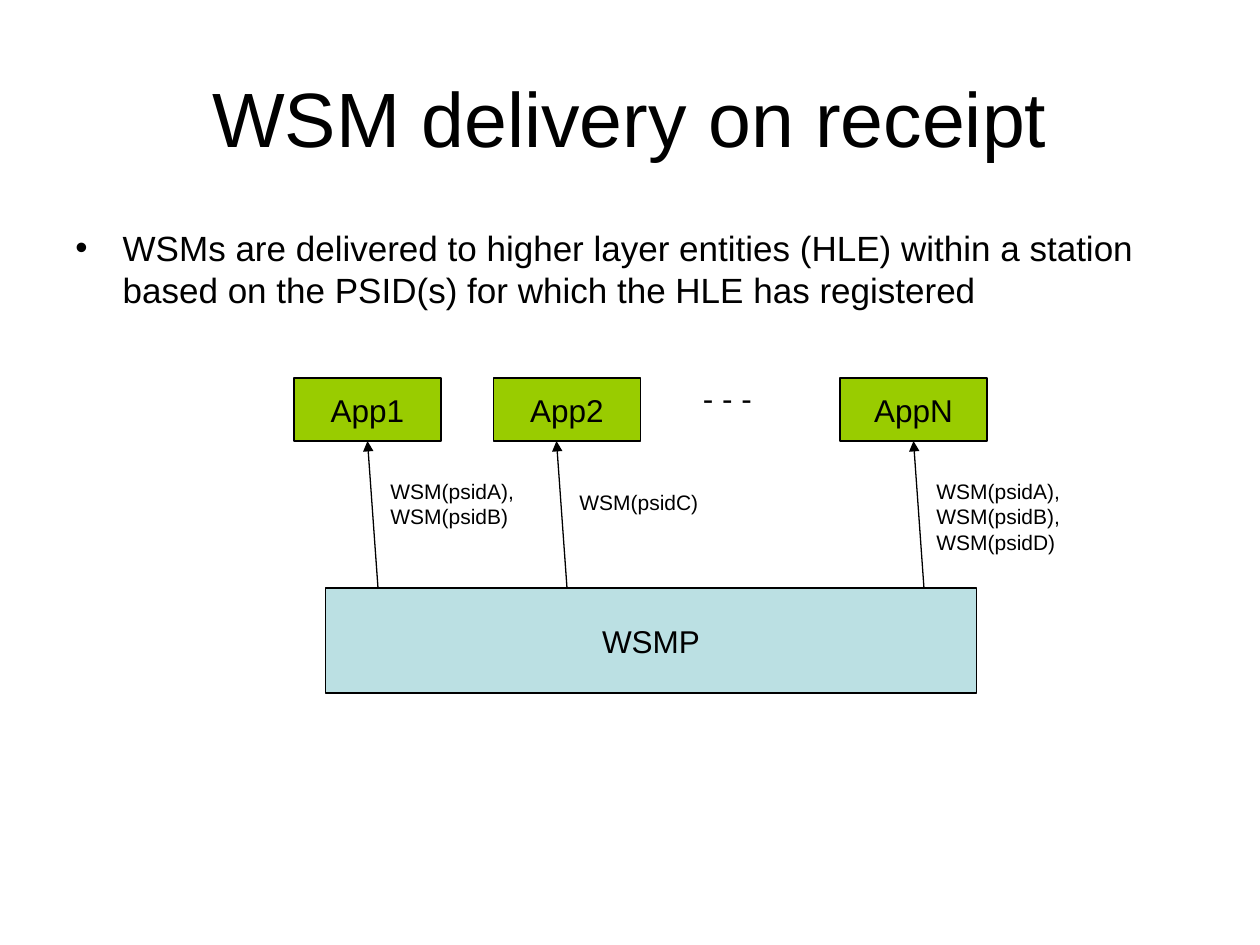
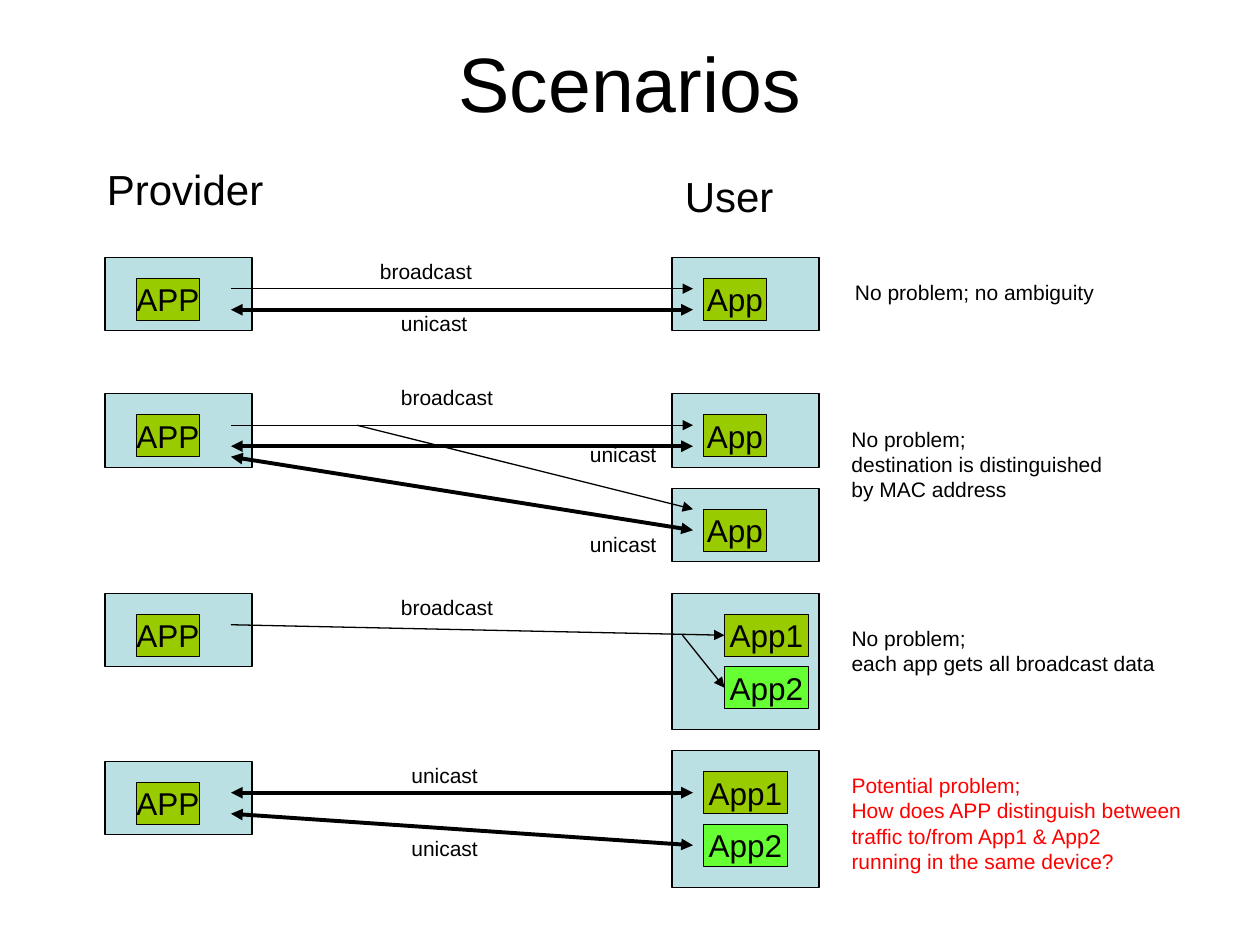
from dataclasses import dataclass
from typing import Optional

from lxml.etree import SubElement
from pptx import Presentation
from pptx.dml.color import RGBColor
from pptx.enum.shapes import MSO_CONNECTOR as Connector, MSO_SHAPE as Preset
from pptx.enum.text import MSO_ANCHOR as Anchor, MSO_AUTO_SIZE as AutoSize, PP_ALIGN as Align
from pptx.oxml.ns import qn
from pptx.shapes.autoshape import Shape
from pptx.slide import Slide
from pptx.util import Pt

FONT = "Arial"
BLACK = "000000"
RED = "FF0000"
STATION_BLUE = "BBE0E3"
APP_GREEN = "99CC00"
SECOND_APP_GREEN = "66FF33"
THIN, THICK = 0.75, 2.25
LEFT, BOTTOM = 1, 2

PROVIDER_LEFT, USER_LEFT = 60, 384
STATION_WIDTH, STATION_HEIGHT = 84, 42
APP_HEIGHT, APP_INSET, APP_STEP = 24, 12, 30
LINK_START, LINK_END = 132, 396


@dataclass
class Label:
    text: str
    left: float
    top: float
    width: float
    height: float = 21.6
    size: float = 12
    color: str = BLACK


@dataclass
class Link:
    start_y: float
    end_y: float
    start_x: float = LINK_START
    end_x: float = LINK_END
    unicast: bool = False
    target_app: Optional[str] = None


@dataclass
class Station:
    top: float
    apps: tuple[str, ...] = ("App",)
    height: float = STATION_HEIGHT
    app_left: float = 402
    app_width: float = 36


@dataclass
class Scenario:
    top: float
    users: list[Station]
    links: list[Link]
    labels: list[Label]


@dataclass
class Delivery:
    app: str
    app_left: float
    link_top_x: float
    messages: str
    label_top: float
    label_height: float


def broadcast(left: float, top: float) -> Label:
    return Label("broadcast", left, top, 68)


def unicast(left: float, top: float) -> Label:
    return Label("unicast", left, top, 54)


DELIVERIES = [
    Delivery("App1", 168, 210, "WSM(psidA),\nWSM(psidB)", 270, 36),
    Delivery("App2", 282, 318, "WSM(psidC)", 276, 21.6),
    Delivery("AppN", 480, 522, "WSM(psidA),\nWSM(psidB),\nWSM(psidD)", 270, 50.4),
]

SCENARIOS = [
    Scenario(
        147,
        [Station(0)],
        [Link(18, 18), Link(30, 30, unicast=True)],
        [broadcast(210, -3), unicast(222, 27),
         Label("No problem; no ambiguity", 481.5, 9, 153)],
    ),
    Scenario(
        225,
        [Station(0), Station(54)],
        [Link(18, 18), Link(30, 30, unicast=True), Link(36, 78, unicast=True),
         Link(18, 66, start_x=204)],
        [broadcast(222, -9), unicast(330, 23.5), unicast(330, 75),
         Label("No problem;\ndestination is distinguished\nby MAC address",
               479.5, 15, 163, 50.4)],
    ),
    Scenario(
        339,
        [Station(0, ("App1", "App2"), 78, 414, 48)],
        [Link(18, 24, end_x=414, target_app="App1"),
         Link(24, 54, start_x=390, end_x=414, target_app="App2")],
        [broadcast(222, -3),
         Label("No problem;\neach app gets all broadcast data", 479.5, 15, 190, 36)],
    ),
    Scenario(
        435,
        [Station(-6, ("App1", "App2"), 78, 402, 48)],
        [Link(18, 18, unicast=True), Link(30, 48, unicast=True)],
        [unicast(228, -3), unicast(228, 39),
         Label("Potential problem;\nHow does APP distinguish between\n"
               "traffic to/from App1 & App2\nrunning in the same device?",
               479.5, 3, 206, 64.8, color=RED)],
    ),
]


def rgb(value: str) -> RGBColor:
    return RGBColor.from_string(value)


def style_text(shape: Shape, size: float, color: str = BLACK, align: Align = Align.LEFT) -> None:
    for paragraph in shape.text_frame.paragraphs:
        paragraph.alignment = align
        paragraph.font.name = FONT
        paragraph.font.size = Pt(size)
        paragraph.font.color.rgb = rgb(color)


def add_title(slide: Slide, text: str, height: float) -> None:
    title = slide.shapes.add_textbox(Pt(36), Pt(21.6), Pt(648), Pt(height))
    title.text_frame.word_wrap = True
    title.text_frame.vertical_anchor = Anchor.MIDDLE
    title.text_frame.text = text
    style_text(title, 44, align=Align.CENTER)


def add_bullet(slide: Slide, text: str) -> None:
    body = slide.shapes.add_textbox(Pt(36), Pt(126), Pt(648), Pt(356.4))
    body.text_frame.word_wrap = True
    body.text_frame.text = text
    properties = body.text_frame.paragraphs[0]._p.get_or_add_pPr()
    properties.set("marL", str(Pt(27)))
    properties.set("indent", str(-Pt(27)))
    SubElement(properties, qn("a:buFont"), typeface=FONT)
    SubElement(properties, qn("a:buChar"), char="•")
    style_text(body, 20)


def add_label(slide: Slide, label: Label, row_top: float = 0) -> None:
    box = slide.shapes.add_textbox(
        Pt(label.left), Pt(row_top + label.top), Pt(label.width), Pt(label.height))
    box.text_frame.word_wrap = False
    box.text_frame.auto_size = AutoSize.SHAPE_TO_FIT_TEXT
    box.text_frame.text = label.text
    style_text(box, label.size, label.color)


def add_block(slide: Slide, left: float, top: float, width: float, height: float,
              fill: str, text: str = "") -> Shape:
    block = slide.shapes.add_shape(Preset.RECTANGLE, Pt(left), Pt(top), Pt(width), Pt(height))
    block.shadow.inherit = False
    block.fill.solid()
    block.fill.fore_color.rgb = rgb(fill)
    block.line.color.rgb = rgb(BLACK)
    block.line.width = Pt(THIN)
    if text:
        block.text_frame.word_wrap = False
        block.text_frame.vertical_anchor = Anchor.MIDDLE
        block.text_frame.text = text
        style_text(block, 18, align=Align.CENTER)
    return block


def add_link(slide: Slide, link: Link, row_top: float = 0,
             target: Optional[Shape] = None, side: int = LEFT) -> None:
    arrow = slide.shapes.add_connector(
        Connector.STRAIGHT, Pt(link.start_x), Pt(row_top + link.start_y),
        Pt(link.end_x), Pt(row_top + link.end_y))
    if target is not None:
        arrow.end_connect(target, side)
    arrow.line.color.rgb = rgb(BLACK)
    arrow.line.width = Pt(THICK if link.unicast else THIN)
    outline = arrow.line._get_or_add_ln()
    if link.unicast:
        SubElement(outline, qn("a:headEnd"), type="triangle")
    SubElement(outline, qn("a:tailEnd"), type="triangle")
    SubElement(arrow._element.spPr, qn("a:effectLst"))


def add_user(slide: Slide, user: Station, row_top: float) -> dict[str, Shape]:
    top = row_top + user.top
    add_block(slide, USER_LEFT, top, STATION_WIDTH, user.height, STATION_BLUE)
    return {
        app: add_block(slide, user.app_left, top + APP_INSET + index * APP_STEP,
                       user.app_width, APP_HEIGHT, fill, app)
        for index, (app, fill) in enumerate(zip(user.apps, (APP_GREEN, SECOND_APP_GREEN)))
    }


def add_scenario(slide: Slide, scenario: Scenario) -> None:
    top = scenario.top
    add_block(slide, PROVIDER_LEFT, top, STATION_WIDTH, STATION_HEIGHT, STATION_BLUE)
    add_block(slide, 78, top + APP_INSET, 36, APP_HEIGHT, APP_GREEN, "APP")
    apps: dict[str, Shape] = {}
    for user in scenario.users:
        apps.update(add_user(slide, user, top))
    for link in scenario.links:
        add_link(slide, link, top, apps.get(link.target_app))
    for label in scenario.labels:
        add_label(slide, label, top)


def build_delivery(slide: Slide) -> None:
    add_title(slide, "WSM delivery on receipt", 90)
    add_bullet(slide, "WSMs are delivered to higher layer entities (HLE) within a station "
                      "based on the PSID(s) for which the HLE has registered")
    add_block(slide, 186, 336, 372, 60, STATION_BLUE, "WSMP")
    add_label(slide, Label("- - -", 394.6, 213, 49, 28.8, 18))
    for delivery in DELIVERIES:
        app = add_block(slide, delivery.app_left, 216, 84, 36, APP_GREEN, delivery.app)
        start_x = delivery.link_top_x + 6
        at_middle = delivery.link_top_x == delivery.app_left + 42
        add_link(slide, Link(336, 252, start_x, delivery.link_top_x),
                 target=app if at_middle else None, side=BOTTOM)
        add_label(slide, Label(delivery.messages, start_x, delivery.label_top,
                               87, delivery.label_height))


def build_scenarios(slide: Slide) -> None:
    add_title(slide, "Scenarios", 50.4)
    add_label(slide, Label("Provider", 54, 90, 106, 36, 24))
    add_label(slide, Label("User", 384.2, 93.8, 68, 36, 24))
    for scenario in SCENARIOS:
        add_scenario(slide, scenario)


def main() -> None:
    deck = Presentation()
    deck.slide_width, deck.slide_height = Pt(720), Pt(540)
    blank = deck.slide_layouts[6]
    for build in (build_delivery, build_scenarios):
        build(deck.slides.add_slide(blank))
    deck.save("out.pptx")


if __name__ == "__main__":
    main()
